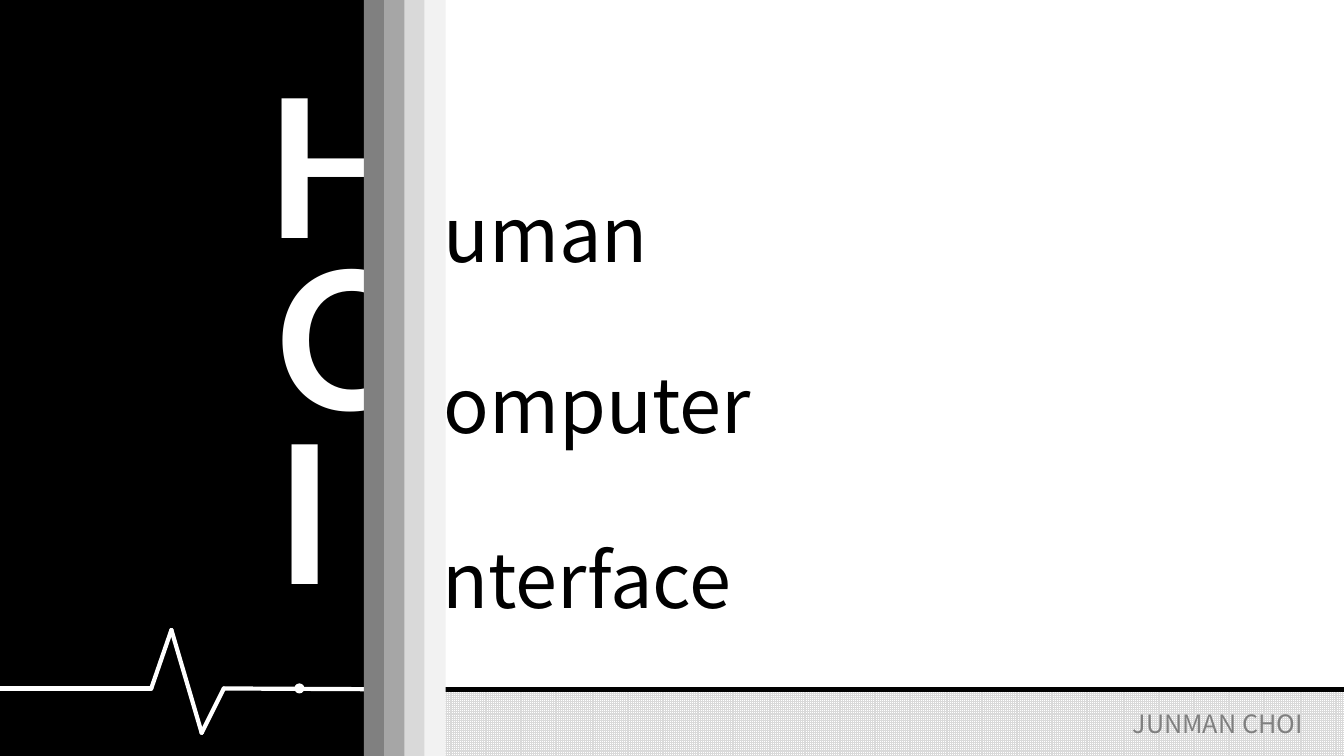
"""Build the Human Computer Interface cover slide."""
from itertools import pairwise

from lxml import etree
from pptx import Presentation
from pptx.dml.color import RGBColor
from pptx.enum.dml import MSO_PATTERN
from pptx.enum.shapes import MSO_CONNECTOR, MSO_SHAPE
from pptx.enum.text import MSO_ANCHOR, MSO_AUTO_SIZE, PP_ALIGN
from pptx.oxml.ns import qn
from pptx.util import Inches, Pt

RECT, OVAL = MSO_SHAPE.RECTANGLE, MSO_SHAPE.OVAL
LINE = MSO_CONNECTOR.STRAIGHT
GRID = MSO_PATTERN.SMALL_GRID
MIDDLE, RIGHT = MSO_ANCHOR.MIDDLE, PP_ALIGN.RIGHT
GROW = MSO_AUTO_SIZE.SHAPE_TO_FIT_TEXT

BLACK = RGBColor(0x00, 0x00, 0x00)
WHITE = RGBColor(0xFF, 0xFF, 0xFF)
GRAY = RGBColor(0x80, 0x80, 0x80)
SILVER = RGBColor(0xA6, 0xA6, 0xA6)
LIGHT = RGBColor(0xD9, 0xD9, 0xD9)
PALE = RGBColor(0xF2, 0xF2, 0xF2)
SANS, LATIN = "Noto Sans CJK KR", "Lato"

AUTHOR = "JUNMAN CHOI"
WORDS = [
    ("uman", (4.3, 1.81, 2.41, 1.01)),
    ("omputer", (4.3, 3.5, 3.58, 1.01)),
    ("nterface", (4.29, 5.24, 3.64, 1.01)),
]
LETTERS = [
    ("H", (2.54, 0.4, 1.22, 2.42)),
    ("C", (2.63, 2.11, 1.04, 2.42)),
    ("I", (2.64, 3.83, 1.03, 2.42)),
]
PULSE = [(0, 6.83), (1.5, 6.83), (1.7, 6.25), (2, 7.27), (2.22, 6.83), (4.16, 6.84)]
BASE = [(4, 6.84), (13.33, 6.84)]
BARS = [GRAY, SILVER, LIGHT, PALE]
BAR_LEFT, BAR_STEP, BAR_WIDE = 3.61, 0.2, 0.21

deck = Presentation()
deck.slide_width, deck.slide_height = Inches(13.33), Inches(7.5)
shapes = deck.slides.add_slide(deck.slide_layouts[6]).shapes


def add_run(para, text, font, size, color, bold=False):
    run = para.add_run()
    run.text = text
    run.font.name, run.font.size = font, Pt(size)
    run.font.color.rgb, run.font.bold = color, bold
    props = run.font._element
    etree.SubElement(props, qn("a:ea")).set("typeface", font)


def add_label(text, box, *style):
    frame = shapes.add_textbox(*map(Inches, box)).text_frame
    frame.word_wrap = False
    frame.auto_size = GROW
    add_run(frame.paragraphs[0], text, *style)


def add_block(kind, box, color=None):
    block = shapes.add_shape(kind, *map(Inches, box))
    block.shadow.inherit = False
    block.line.fill.background()
    if color is not None:
        block.fill.solid()
        block.fill.fore_color.rgb = color
    return block


def add_path(points, color):
    for start, end in pairwise(points):
        line = shapes.add_connector(LINE, *map(Inches, start + end))
        line.line.color.rgb, line.line.width = color, Pt(3)
        line.line._get_or_add_ln().set("cap", "rnd")
        etree.SubElement(line._element.spPr, qn("a:effectLst"))


foot = add_block(RECT, (4.21, 6.84, 9.12, 0.67))
foot.fill.patterned()
foot.fill.pattern = GRID
foot.fill.fore_color.rgb, foot.fill.back_color.rgb = LIGHT, WHITE
frame = foot.text_frame
frame.vertical_anchor = MIDDLE
frame.margin_right = Inches(0.41)
frame.paragraphs[0].alignment = RIGHT
add_run(frame.paragraphs[0], AUTHOR, SANS, 18, GRAY)

for word, box in WORDS:
    add_label(word, box, SANS, 54, BLACK)

panel = add_block(RECT, (0, 0, 4.16, 7.5), BLACK)
panel.line.color.rgb, panel.line.width = BLACK, Pt(1)
for letter, box in LETTERS:
    add_label(letter, box, LATIN, 138, WHITE, True)

add_path(PULSE, WHITE)
add_path(BASE, BLACK)
add_block(OVAL, (2.92, 6.78, 0.1, 0.1), WHITE)

for i, color in enumerate(BARS):
    add_block(RECT, (BAR_LEFT + i * BAR_STEP, 0, BAR_WIDE, 7.5), color)

deck.save("out.pptx")
